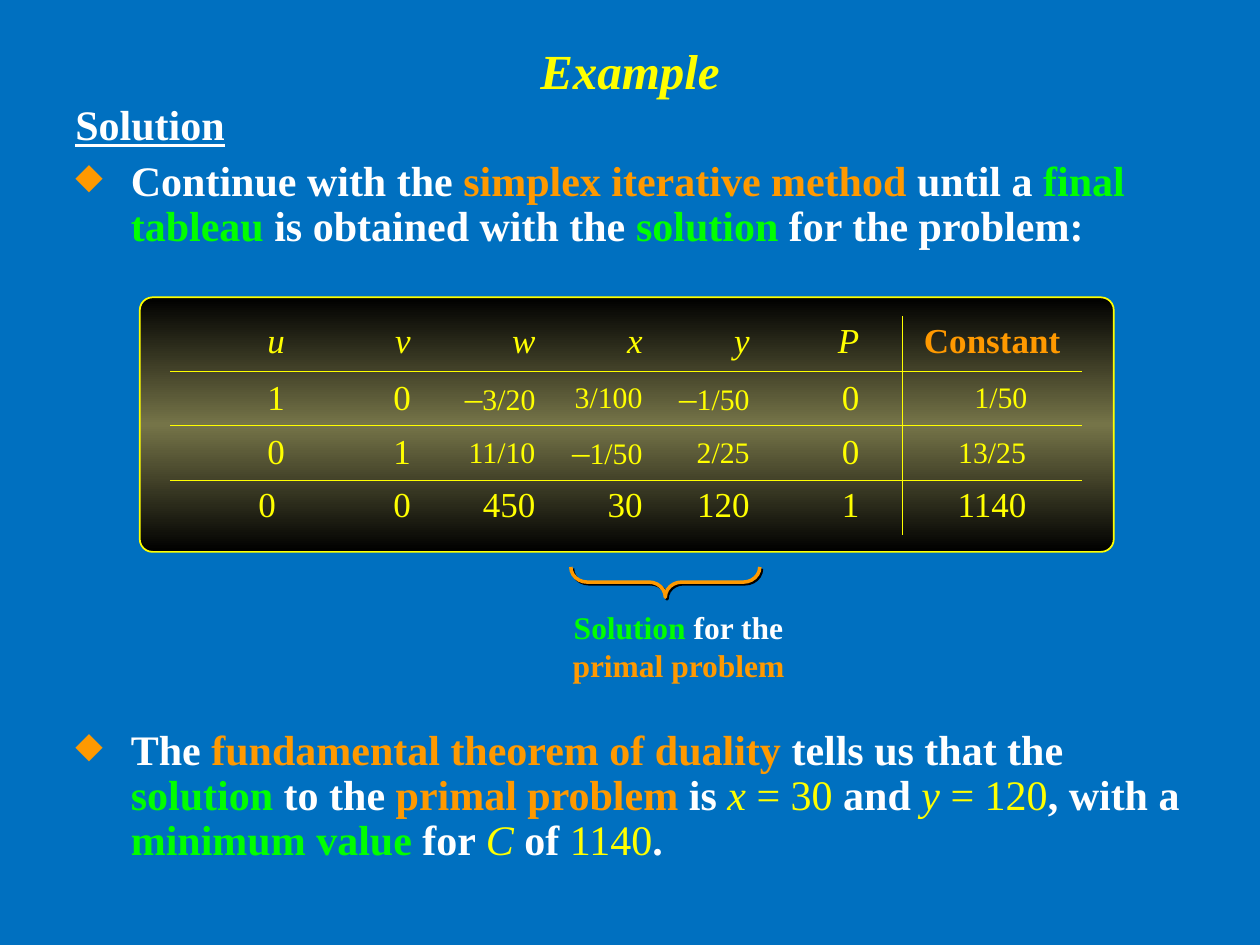
import copy
from dataclasses import dataclass
from typing import Any, NamedTuple

import lxml.etree
import pptx
import pptx.dml.color
import pptx.enum.shapes
import pptx.enum.text
import pptx.oxml
import pptx.oxml.ns
import pptx.util

ALIGN = pptx.enum.text.PP_ALIGN
ANCHOR = pptx.enum.text.MSO_ANCHOR
SHAPE = pptx.enum.shapes.MSO_SHAPE

CELL = 0.1
FONT = "Times New Roman"
BLUE, YELLOW, WHITE = "0070C0", "FFFF00", "FFFFFF"
ORANGE, GREEN, BLACK, OLIVE = "FF9900", "00FF00", "000000", "757448"
RULE_WIDTH = 0.45
NO_STYLE = "{2D5ABB26-0587-4C30-8999-92F81FD0307C}"


class Area(NamedTuple):
    column: float
    row: float
    columns: float
    rows: float


@dataclass
class Span:
    text: str
    color: str = WHITE
    bold: bool = True
    italic: bool = False
    underline: bool = False


@dataclass
class Passage:
    spans: list[Span]
    before: float = 0
    bullet: bool = False


def value(text: str, italic: bool = False) -> Span:
    return Span(text, YELLOW, bold=False, italic=italic)


PASSAGES = [
    Passage([Span("Solution", underline=True)]),
    Passage([
        Span("Continue with the "), Span("simplex iterative method", ORANGE),
        Span(" until a "), Span("final tableau", GREEN),
        Span(" is obtained with the "), Span("solution", GREEN),
        Span(" for the problem:"),
    ], before=6, bullet=True),
    Passage([
        Span("The "), Span("fundamental theorem of duality", ORANGE),
        Span(" tells us that the "), Span("solution", GREEN),
        Span(" to the "), Span("primal problem", ORANGE), Span(" is "),
        value("x", True), value(" = 30"), Span(" and "),
        value("y", True), value(" = 120"), Span(", with a "),
        Span("minimum value", GREEN), Span(" for "), value("C", True),
        Span(" of "), value("1140"), Span("."),
    ], before=273, bullet=True),
]
CALLOUT = [Span("Solution ", GREEN), Span("for the"), Span(" primal problem", ORANGE)]

TABLEAU = [
    ["u", "v", "w", "x", "y", "P", "", "Constant"],
    ["1", "0", "–3/20", "3/100", "–1/50", "0", "", "1/50"],
    ["0", "1", "11/10", "–1/50", "2/25", "0", "", "13/25"],
    ["0", "0", "450", "30", "120", "1", "", "1140"],
]
COLUMN_WIDTHS = [10.1, 10, 9.9, 8.5, 8.5, 8.7, 2.4, 14.3]
RULED_ROWS = (0, 2)
GAP_COLUMN = 6
CONSTANT_COLUMN = 7


def rgb(color: str) -> pptx.dml.color.RGBColor:
    return pptx.dml.color.RGBColor.from_string(color)


def grid(units: float) -> int:
    return pptx.util.Inches(units * CELL)


def place(area: Area) -> tuple[int, ...]:
    return tuple(grid(units) for units in area)


def element(xml: str) -> Any:
    return pptx.oxml.parse_xml(xml.replace(">", f" {pptx.oxml.ns.nsdecls('a')}>", 1)
                               if "/>" not in xml.split(">")[0] + ">"
                               else xml.replace("/>", f" {pptx.oxml.ns.nsdecls('a')}/>", 1))


def format_run(run: Any, span: Span, size: float) -> None:
    font = run.font
    font.name, font.size = FONT, pptx.util.Pt(size)
    font.bold, font.italic, font.underline = span.bold, span.italic, span.underline
    font.color.rgb = rgb(span.color)


def add_spans(para: Any, spans: list[Span], size: float) -> None:
    for span in spans:
        run = para.add_run()
        run.text = span.text
        format_run(run, span, size)


def add_bullet(para: Any) -> None:
    properties = para._p.get_or_add_pPr()
    properties.set("marL", str(grid(4.4)))
    properties.set("indent", str(-grid(4.4)))
    for xml in (f'<a:buClr><a:srgbClr val="{ORANGE}"/></a:buClr>',
                '<a:buSzPct val="85000"/>', '<a:buChar char="◆"/>'):
        properties.append(element(xml))


def add_text_box(slide: Any, area: Area) -> Any:
    frame = slide.shapes.add_textbox(*place(area)).text_frame
    frame.word_wrap = True
    return frame


def add_title(slide: Any) -> None:
    title = slide.shapes.title
    title.left, title.top, title.width, title.height = place(Area(5, 0, 90, 11.1))
    title.text_frame.text = "Example"
    title.text_frame.vertical_anchor = ANCHOR.MIDDLE
    para = title.text_frame.paragraphs[0]
    para.alignment = ALIGN.CENTER
    format_run(para.runs[0], Span("Example", YELLOW, italic=True), 28)


def add_body(slide: Any) -> None:
    frame = add_text_box(slide, Area(5, 7.8, 90.8, 63.7))
    for index, passage in enumerate(PASSAGES):
        para = frame.add_paragraph() if index else frame.paragraphs[0]
        if passage.bullet:
            add_bullet(para)
        para.line_spacing = 0.9
        para.space_before = pptx.util.Pt(passage.before)
        add_spans(para, passage.spans, 24)


def add_panel(slide: Any) -> None:
    panel = slide.shapes.add_shape(SHAPE.ROUNDED_RECTANGLE, *place(Area(11.1, 23.6, 77.3, 20.2)))
    panel.shadow.inherit = False
    panel.adjustments[0] = 0.05
    panel.line.color.rgb = rgb(YELLOW)
    panel.line.width = pptx.util.Pt(1)
    panel.fill.gradient()
    panel.fill.gradient_angle = 90
    stops = panel.fill.gradient_stops
    first = stops[0]._gs
    first.addnext(copy.deepcopy(first))
    for index, color in enumerate((BLACK, OLIVE, BLACK)):
        stop = panel.fill.gradient_stops[index]
        stop.color.rgb = rgb(color)
        stop.position = index / 2


def add_borders(cell: Any, sides: dict[str, bool]) -> None:
    properties = cell._tc.get_or_add_tcPr()
    width = pptx.util.Pt(RULE_WIDTH)
    ruled = [side for side in ("lnL", "lnR", "lnT", "lnB") if sides.get(side)]
    for index, side in enumerate(ruled):
        properties.insert(index, element(
            f'<a:{side} w="{width}"><a:solidFill><a:srgbClr val="{YELLOW}"/>'
            f'</a:solidFill></a:{side}>'))


def fill_cell(cell: Any, text: str, row: int, column: int) -> None:
    constant = column == CONSTANT_COLUMN
    para = cell.text_frame.paragraphs[0]
    para.alignment = ALIGN.CENTER if constant else ALIGN.RIGHT
    cell.vertical_anchor = ANCHOR.MIDDLE if row in (1, 2) else ANCHOR.TOP
    if row == 0 and constant:
        add_spans(para, [Span(text, ORANGE)], 20)
    elif "/" in text:
        if text.startswith("–"):
            add_spans(para, [value("–")], 20)
        add_spans(para, [value(text.lstrip("–"))], 17)
    elif text:
        add_spans(para, [value(text, italic=row == 0)], 20)


def add_tableau(slide: Any) -> None:
    frame = slide.shapes.add_table(len(TABLEAU), len(COLUMN_WIDTHS),
                                   *place(Area(13.5, 25.1, sum(COLUMN_WIDTHS), 17.3)))
    table = frame.table
    table.first_row = table.horz_banding = False
    table._tbl.tblPr.find(pptx.oxml.ns.qn("a:tableStyleId")).text = NO_STYLE
    for column, width in zip(table.columns, COLUMN_WIDTHS):
        column.width = grid(width)
    for row, texts in enumerate(TABLEAU):
        for column, text in enumerate(texts):
            cell = table.cell(row, column)
            cell.fill.background()
            fill_cell(cell, text, row, column)
            add_borders(cell, {"lnL": column == CONSTANT_COLUMN, "lnR": column == GAP_COLUMN,
                               "lnT": row - 1 in RULED_ROWS, "lnB": row in RULED_ROWS})
    table.cell(1, CONSTANT_COLUMN).margin_left = grid(2.4)
    table.cell(3, 0).margin_right = grid(1.7)


def add_brace(slide: Any) -> None:
    brace = slide.shapes.add_shape(SHAPE.RIGHT_BRACE, *place(Area(51.6, 38.7, 2.4, 15)))
    brace.rotation = 90
    brace.adjustments[0] = 0.54
    brace.fill.background()
    brace.line.color.rgb = rgb(ORANGE)
    brace.line.width = pptx.util.Pt(2)
    brace.shadow.inherit = False
    effects = brace._element.spPr.find(pptx.oxml.ns.qn("a:effectLst"))
    effects.append(element(
        f'<a:outerShdw dist="{pptx.util.Pt(1.4)}" dir="2700000" algn="ctr" rotWithShape="0">'
        f'<a:srgbClr val="{BLACK}"/></a:outerShdw>'))


def add_callout(slide: Any) -> None:
    para = add_text_box(slide, Area(41.6, 47.8, 24.5, 7)).paragraphs[0]
    para.alignment = ALIGN.CENTER
    add_spans(para, CALLOUT, 18)


def main() -> None:
    deck = pptx.Presentation()
    deck.slide_width, deck.slide_height = grid(100), grid(75)
    slide = deck.slides.add_slide(deck.slide_layouts[5])
    slide.background.fill.solid()
    slide.background.fill.fore_color.rgb = rgb(BLUE)
    for draw in (add_title, add_body, add_panel, add_tableau, add_brace, add_callout):
        draw(slide)
    deck.save("out.pptx")


if __name__ == "__main__":
    main()
